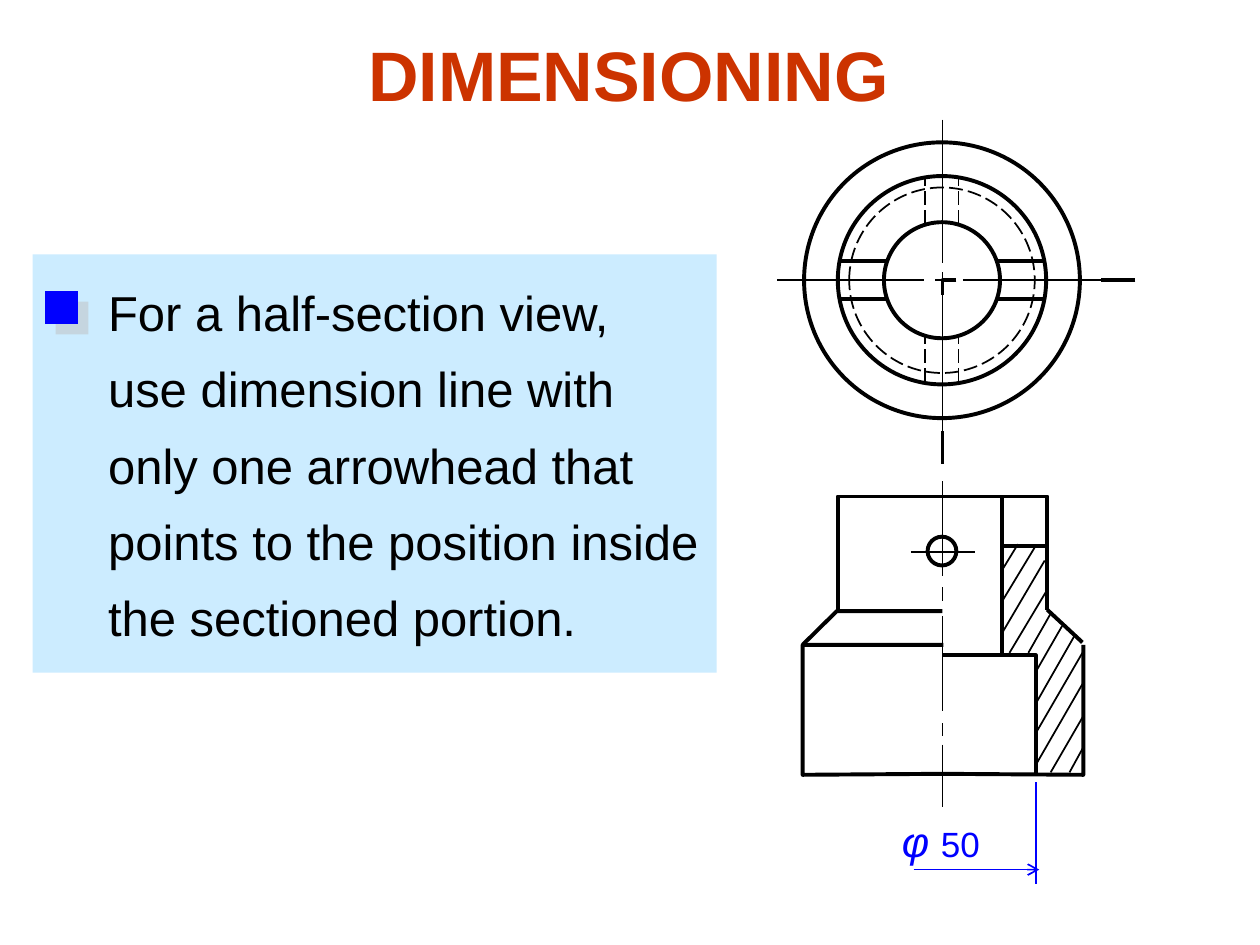
from lxml.etree import SubElement
from pptx import Presentation
from pptx.dml.color import RGBColor
from pptx.enum.dml import MSO_LINE
from pptx.enum.shapes import MSO_CONNECTOR, MSO_SHAPE
from pptx.enum.text import MSO_ANCHOR, MSO_AUTO_SIZE, PP_ALIGN
from pptx.oxml.ns import qn
from pptx.util import Cm, Pt

BLACK = RGBColor(0x00, 0x00, 0x00)
BLUE = RGBColor(0x00, 0x00, 0xFF)
PALE = RGBColor(0xCC, 0xEC, 0xFF)
RED = RGBColor(0xCC, 0x33, 0x00)
THICK, THIN = 2.25, 1
MID = 19      # x of the vertical axis
AXIS = 5.65   # y of the top view's centre

# Hatch lines of the cut half: x1, y1, x2, y2
HATCH = [
    (20.52, 10.97, 20.19, 11.51), (20.88, 11, 20.19, 12.14),
    (21.06, 11.3, 20.19, 12.78), (21.11, 11.89, 20.35, 13.16),
    (21.18, 12.37, 20.73, 13.16), (21.41, 12.62, 20.9, 13.51),
    (21.67, 12.8, 20.9, 14.15), (21.82, 13.16, 20.88, 14.78),
    (21.82, 13.79, 20.88, 15.42), (21.84, 14.43, 21.18, 15.57),
    (21.84, 15.06, 21.56, 15.57),
]
# Outlines of the front view
EDGES = [
    [(MID, 15.6), (16.18, 15.62), (16.18, 13), (19.02, 13)],
    [(16.18, 13), (16.87, 12.32), (MID, 12.32)],
    [(16.89, 12.29), (16.89, 10.01), (MID, 10.01)],
    [(MID, 15.6), (21.84, 15.62), (21.84, 13)],
    [(20.88, 15.62), (20.88, 13.21), (MID, 13.21)],
    [(21.11, 12.29), (21.11, 10.01), (MID, 10.01)],
]
NOTE = [
    "For a half-section view,",
    "use dimension line with",
    "only one arrowhead that",
    "points to the position inside",
    "the sectioned portion.",
]


def pen(item, width, color=BLACK, dash=False):
    item.line.color.rgb = color
    item.line.width = Pt(width)
    if dash:
        item.line.dash_style = MSO_LINE.LONG_DASH


def line(slide, x1, y1, x2, y2, width=THIN, color=BLACK, dash=False, arrow=False):
    item = slide.shapes.add_connector(
        MSO_CONNECTOR.STRAIGHT, Cm(x1), Cm(y1), Cm(x2), Cm(y2))
    pen(item, width, color, dash)
    props = item._element.spPr
    if arrow:
        SubElement(props.find(qn("a:ln")), qn("a:tailEnd"), type="arrow")
    SubElement(props, qn("a:effectLst"))


def ring(slide, y, radius, width=THICK, dash=False):
    item = slide.shapes.add_shape(
        MSO_SHAPE.OVAL, Cm(MID - 0.01 - radius), Cm(y - radius),
        Cm(2 * radius), Cm(2 * radius))
    item.shadow.inherit = False
    item.fill.background()
    pen(item, width, dash=dash)


def bent(slide, points):
    spots = [(Cm(x), Cm(y)) for x, y in points]
    form = slide.shapes.build_freeform(*spots[0], scale=1.0)
    form.add_line_segments(spots[1:], close=False)
    item = form.convert_to_shape()
    item.shadow.inherit = False
    item.fill.background()
    pen(item, THICK)


def block(slide, x, y, wide, high, color):
    item = slide.shapes.add_shape(
        MSO_SHAPE.RECTANGLE, Cm(x), Cm(y), Cm(wide), Cm(high))
    item.shadow.inherit = False
    item.fill.solid()
    item.fill.fore_color.rgb = color
    item.line.fill.background()
    return item


def cast(item):
    """Give a block a hard grey shadow to the lower right."""
    effects = item._element.spPr.find(qn("a:effectLst"))
    shade = SubElement(effects, qn("a:outerShdw"), blurRad="0",
                       dist=str(Pt(8.5)), dir="2700000", algn="ctr", rotWithShape="0")
    grey = SubElement(shade, qn("a:srgbClr"), val="C0C0C0")
    SubElement(grey, qn("a:alpha"), val="50000")


def label(slide, x, y, wide, high, wrap=False):
    frame = slide.shapes.add_textbox(Cm(x), Cm(y), Cm(wide), Cm(high)).text_frame
    frame.word_wrap = wrap
    frame.auto_size = MSO_AUTO_SIZE.NONE if wrap else MSO_AUTO_SIZE.SHAPE_TO_FIT_TEXT
    return frame


def write(para, text, size, color, bold=False, slant=False):
    run = para.add_run()
    run.text = text
    font = run.font
    font.name = "Arial"
    font.size = Pt(size)
    font.color.rgb = color
    font.bold = bold
    font.italic = slant


def front(slide):
    for points in EDGES:
        bent(slide, points)
    line(slide, 20.19, 10.01, 20.19, 13.21, THICK)
    line(slide, 20.19, 11, 21.13, 11, THICK)
    line(slide, 21.11, 12.29, 21.82, 12.95, THICK)
    ring(slide, 11.11, 0.29)
    for ends in HATCH:
        line(slide, *ends)
    # Centre lines
    line(slide, 18.36, 11.13, 19.66, 11.13)
    for top, end in [(9.7, 11.61), (11.84, 12.12), (12.42, 14.33),
                     (14.58, 14.83), (15.01, 16.26)]:
        line(slide, MID, top, MID, end)


def plan(slide):
    for radius in (1.17, 2.1, 2.78):
        ring(slide, AXIS, radius)
    ring(slide, AXIS, 1.87, THIN, dash=True)
    # Slots
    for y in (5.26, 6.02):
        line(slide, 16.92, y, 17.88, y, THICK)
        line(slide, 20.09, y, 21.03, y, THICK)
    # Hidden edges
    for x in (18.64, 19.32):
        line(slide, x, 7.7, x, 6.73, dash=True)
        line(slide, x, 4.51, x, 3.57, dash=True)
    # Centre lines
    for top, end in [(2.41, 5.31), (5.49, 5.79), (5.94, 8.76)]:
        line(slide, MID, top, MID, end)
    for left, end in [(15.67, 18.62), (18.85, 19.15), (19.41, 22.3)]:
        line(slide, left, AXIS, end, AXIS)
    # Cutting plane
    line(slide, 22.89, AXIS, 22.2, AXIS, THICK)
    line(slide, MID, 8.69, MID, 9.35, THICK)
    bent(slide, [(19.28, AXIS), (MID, AXIS), (MID, 5.94)])


def note(slide):
    block(slide, 0.66, 5.13, 13.79, 8.43, PALE)
    frame = label(slide, 1.93, 5.21, 12.4, 7.98)
    for i, text in enumerate(NOTE):
        para = frame.add_paragraph() if i else frame.paragraphs[0]
        para.line_spacing = 1.3
        write(para, text, 28, BLACK)
    cast(block(slide, 0.91, 5.87, 0.66, 0.66, BLUE))


def size(slide):
    line(slide, 20.88, 15.77, 20.88, 17.83, color=BLUE)
    line(slide, 18.42, 17.53, 20.95, 17.53, color=BLUE, arrow=True)
    para = label(slide, 17.93, 16.31, 2.16, 1.27).paragraphs[0]
    write(para, "φ ", 24, BLUE, slant=True)
    write(para, "50", 20, BLUE)


def title(slide):
    frame = label(slide, 1.24, 0.46, 22.86, 2.06, wrap=True)
    frame.vertical_anchor = MSO_ANCHOR.MIDDLE
    para = frame.paragraphs[0]
    para.alignment = PP_ALIGN.CENTER
    write(para, "DIMENSIONING", 40, RED, bold=True)


def main():
    deck = Presentation()
    deck.slide_width, deck.slide_height = Cm(25.4), Cm(19.05)
    slide = deck.slides.add_slide(deck.slide_layouts[6])
    front(slide)
    plan(slide)
    note(slide)
    size(slide)
    title(slide)
    deck.save("out.pptx")


if __name__ == "__main__":
    main()
